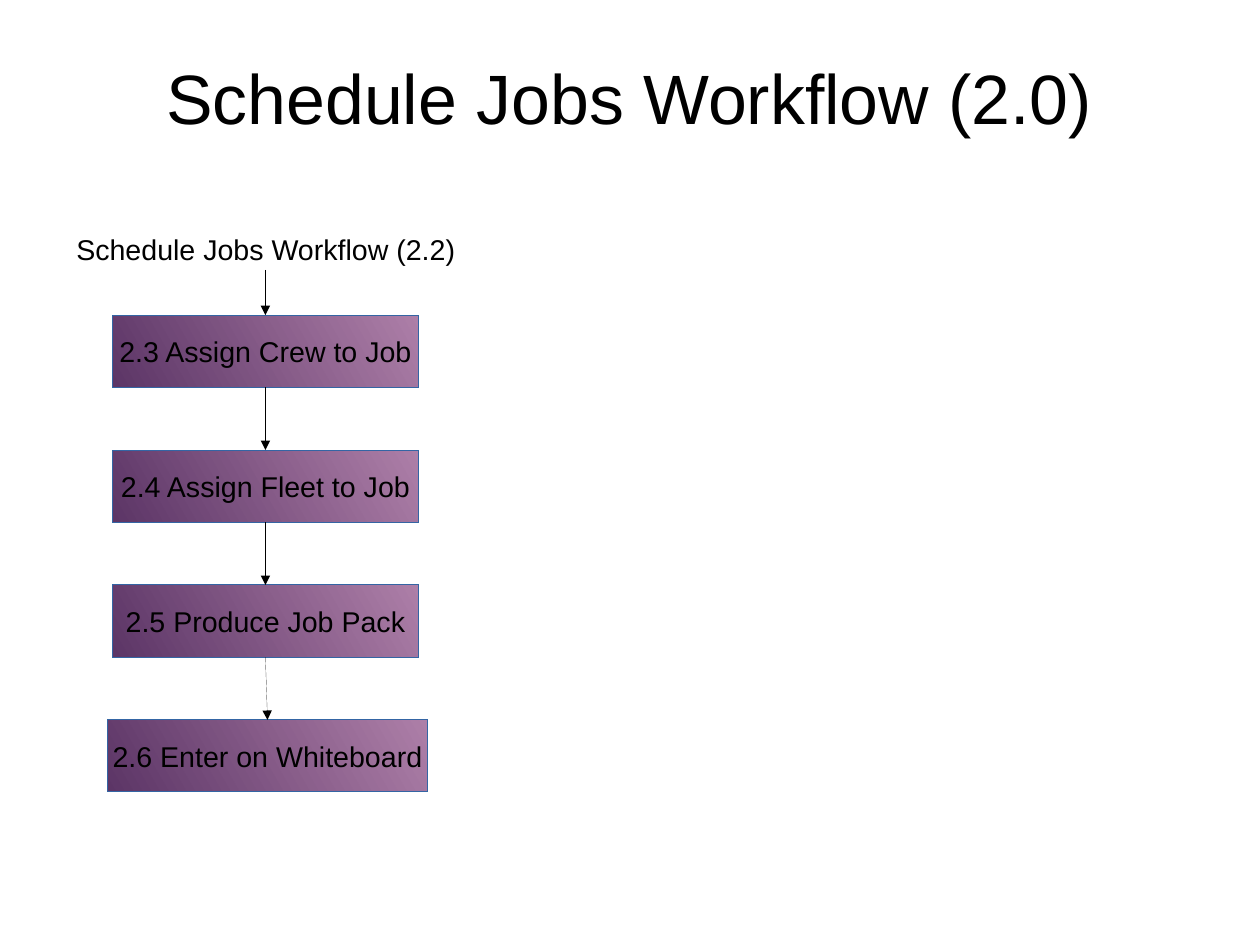
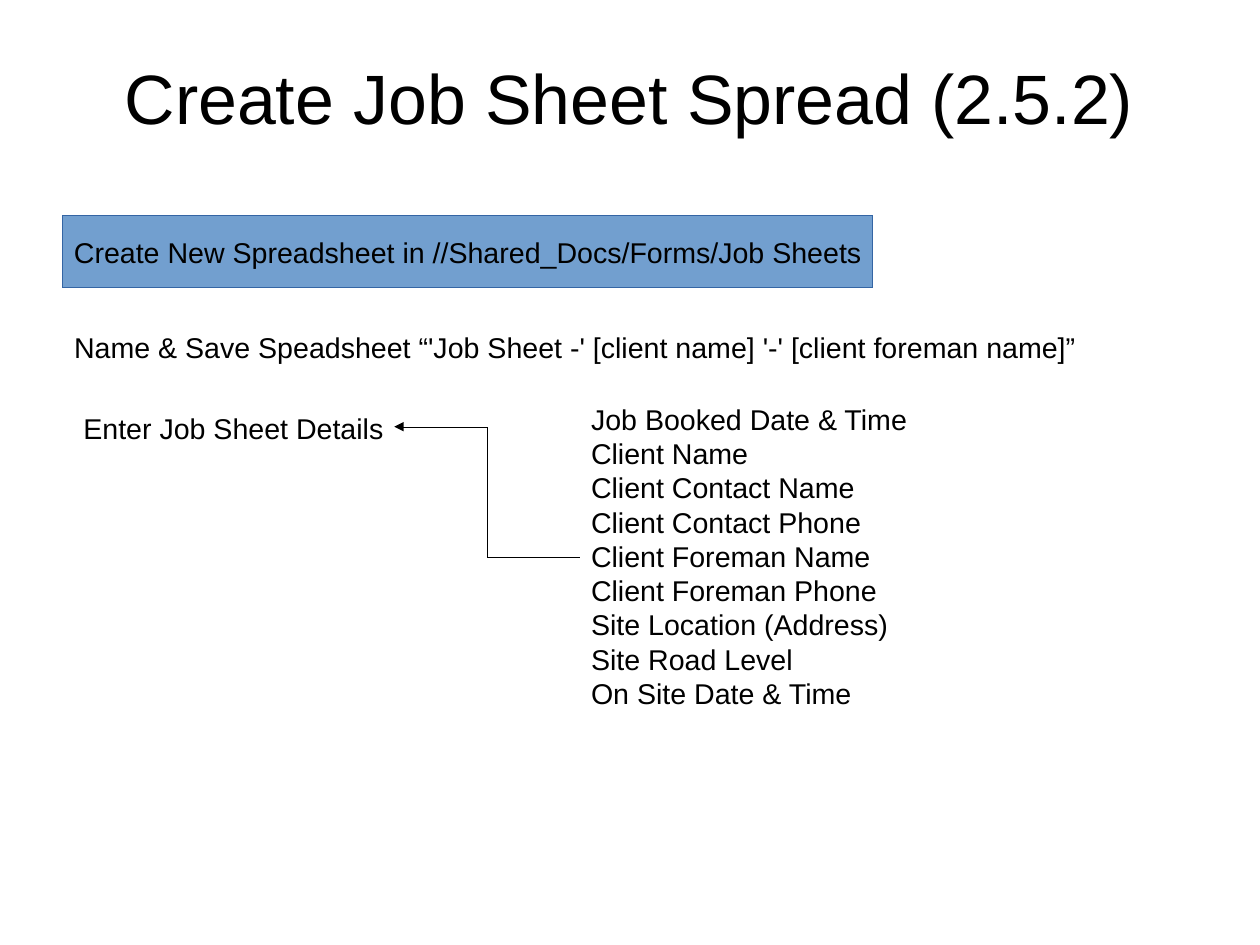
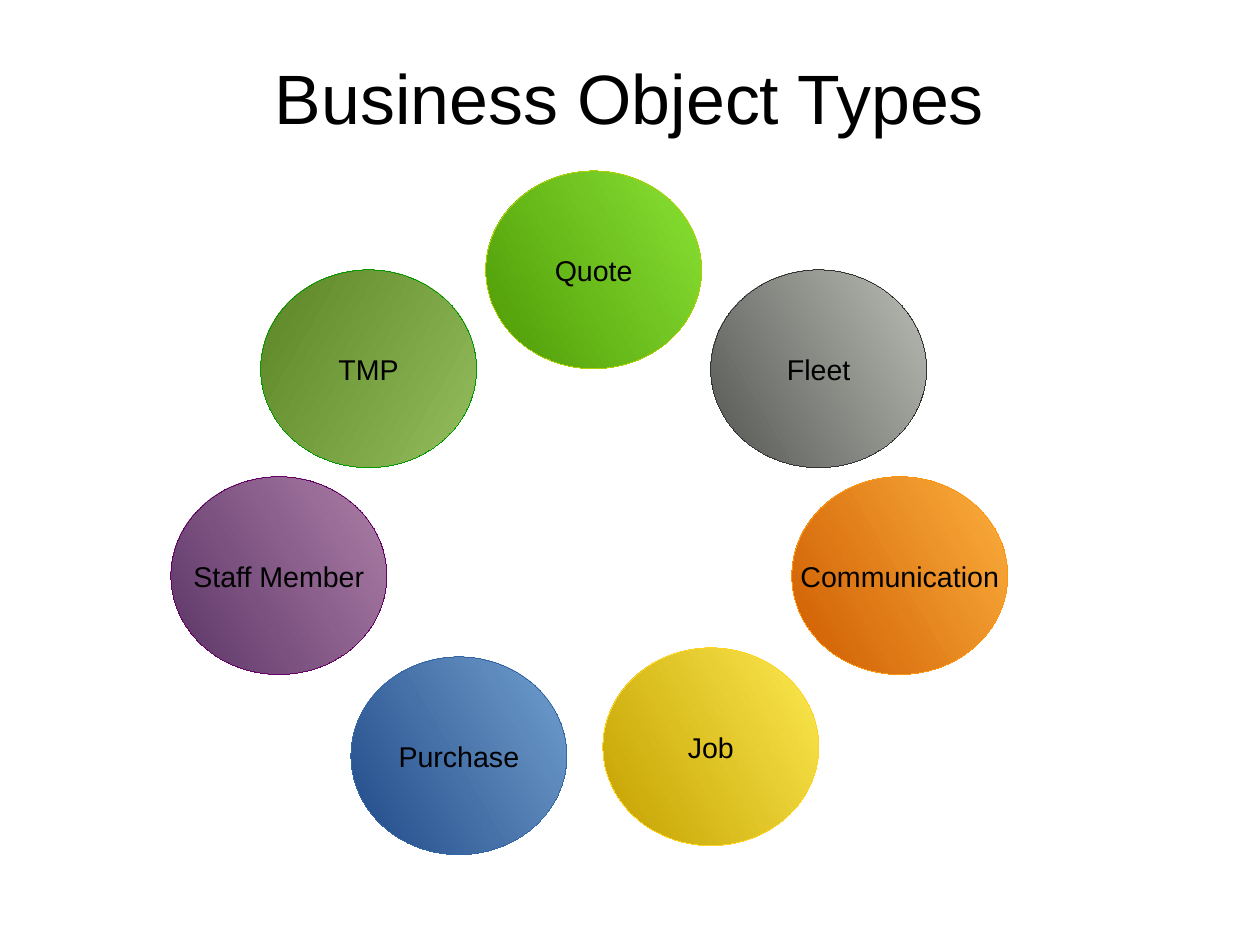
from lxml.etree import SubElement as Sub
from pptx import Presentation
from pptx.dml.color import RGBColor
from pptx.enum.shapes import MSO_CONNECTOR as Link, MSO_SHAPE as Kind
from pptx.enum.text import MSO_ANCHOR as Anchor, MSO_AUTO_SIZE as Auto, PP_ALIGN as Align
from pptx.oxml.ns import qn
from pptx.util import Pt

SIZE = (793.7, 595.28)
INK = "000000"
BLUE = "3465A4"
PLUM = ("AD7FA8", "5C3566")
TITLE = (39.6, 11.2, 714.3, 99.2)
PAD = ("margin_left", "margin_top", "margin_right", "margin_bottom")
MID = {"word_wrap": False, "vertical_anchor": Anchor.MIDDLE}
TOP = {"word_wrap": False, "vertical_anchor": Anchor.TOP, "auto_size": Auto.NONE}
LIST = {**TOP, "word_wrap": True}
HEAD = {"word_wrap": True, "vertical_anchor": Anchor.MIDDLE, "auto_size": Auto.NONE,
        **dict.fromkeys(PAD, 0)}

FLOW = {
    "title": "Schedule Jobs Workflow (2.0)",
    "start": ("Schedule Jobs Workflow (2.2)", (41, 142.6, 252.4, 27.4)),
    "steps": [
        ("2.3 Assign Crew to Job", 70.7, 193),
        ("2.4 Assign Fleet to Job", 70.7, 193),
        ("2.5 Produce Job Pack", 70.7, 193),
        ("2.6 Enter on Whiteboard", 67.7, 201.6),
    ],
}
STEP_TOP, STEP_GAP, STEP_HIGH = 198.5, 85, 45.4

SHEET = {
    "title": "Create Job Sheet Spread (2.5.2)",
    "make": ("Create New Spreadsheet in //Shared_Docs/Forms/Job Sheets",
             (39.6, 135.9, 510.2, 45.4)),
    "save": ("Name & Save Speadsheet “'Job Sheet -' [client name] '-' [client foreman name]”",
             (39.6, 204, 645, 27.4)),
    "enter": ("Enter Job Sheet Details", (45.4, 255.1, 203, 27.4)),
    "fields": [
        "Job Booked Date & Time",
        "Client Name",
        "Client Contact Name",
        "Client Contact Phone",
        "Client Foreman Name",
        "Client Foreman Phone",
        "Site Location (Address)",
        "Site Road Level",
        "On Site Date & Time",
    ],
    "box": (365.1, 249.4, 225, 203.6),
}

TYPES = {
    "title": "Business Object Types",
    "discs": [
        ("TMP", 164.2, 170, ("94BD5E", "5C8526"), "009900", 210),
        ("Quote", 306, 107.7, ("8AE234", "4E9A06"), "AECF00", 150),
        ("Fleet", 447.7, 170, ("BABDB6", "555753"), "333333", 150),
        ("Staff Member", 107.7, 300.3, PLUM, "660066", 150),
        ("Purchase", 221.1, 413.8, ("729FCF", "204A87"), BLUE, 150),
        ("Job", 379.8, 408.1, ("FCE94F", "C4A000"), "FFD320", 150),
        ("Communication", 498.8, 300.3, ("FCAF3E", "CE5C00"), "FF950E", 150),
    ],
}
DISC = (136, 124.6)


def rgb(code):
    return RGBColor.from_string(code)


def put(obj, vals):
    for key, val in vals.items():
        setattr(obj, key, val)


def place(shape, box):
    put(shape, dict(zip(("left", "top", "width", "height"), map(Pt, box))))


def hair(shape, code):
    shape.line.color.rgb = rgb(code)
    line = shape.element.spPr.find(qn("a:ln"))
    line.set("w", "0")
    return line


def write(shape, lines, frame, align=Align.LEFT, size=18):
    text = shape.text_frame
    put(text, frame)
    for num, line in enumerate(lines):
        para = text.add_paragraph() if num else text.paragraphs[0]
        if shape.is_placeholder:
            props = para._p.get_or_add_pPr()
            props.set("marL", "0")
            props.set("indent", "0")
            Sub(props, qn("a:buNone"))
        put(para, {"alignment": align, "space_before": Pt(0)})
        run = para.add_run()
        run.text = line
        put(run.font, {"name": "Arial", "size": Pt(size)})
        run.font.color.rgb = rgb(INK)


def start(deck, layout, title):
    slide = deck.slides.add_slide(deck.slide_layouts[layout])
    head = slide.shapes.title
    place(head, TITLE)
    write(head, [title], HEAD, Align.CENTER, 44)
    return slide


def label(slide, text, box):
    shape = slide.shapes.add_textbox(*map(Pt, box))
    write(shape, [text], TOP)
    return shape


def node(slide, kind, text, box, fill, edge=BLUE, turn=150):
    shape = slide.shapes.add_shape(kind, *map(Pt, box))
    shape.shadow.inherit = False
    if isinstance(fill, str):
        shape.fill.solid()
        shape.fill.fore_color.rgb = rgb(fill)
    else:
        shape.fill.gradient()
        shape.fill.gradient_angle = 360 - turn
        for pos, (stop, code) in enumerate(zip(shape.fill.gradient_stops, fill)):
            stop.position = pos
            stop.color.rgb = rgb(code)
    hair(shape, edge)
    write(shape, [text], MID, Align.CENTER)
    return shape


def arrow(slide, kind, tail, out, head, into):
    link = slide.shapes.add_connector(kind, 0, 0, 0, 0)
    link.begin_connect(tail, out)
    link.end_connect(head, into)
    Sub(hair(link, INK), qn("a:tailEnd"), type="triangle")
    Sub(link.element.spPr, qn("a:effectLst"))


def flow(deck):
    slide = start(deck, 5, FLOW["title"])
    last = label(slide, *FLOW["start"])
    for num, (text, left, wide) in enumerate(FLOW["steps"]):
        box = (left, STEP_TOP + num * STEP_GAP, wide, STEP_HIGH)
        step = node(slide, Kind.RECTANGLE, text, box, PLUM)
        arrow(slide, Link.STRAIGHT, last, 2, step, 0)
        last = step


def sheet(deck):
    slide = start(deck, 1, SHEET["title"])
    node(slide, Kind.RECTANGLE, *SHEET["make"], "729FCF")
    label(slide, *SHEET["save"])
    enter = label(slide, *SHEET["enter"])
    body = slide.placeholders[1]
    place(body, SHEET["box"])
    write(body, SHEET["fields"], LIST)
    arrow(slide, Link.ELBOW, body, 1, enter, 3)


def types(deck):
    slide = start(deck, 5, TYPES["title"])
    for text, left, top, fill, edge, turn in TYPES["discs"]:
        node(slide, Kind.OVAL, text, (left, top, *DISC), fill, edge, turn)


def main():
    deck = Presentation()
    put(deck, dict(zip(("slide_width", "slide_height"), map(Pt, SIZE))))
    for build in (flow, sheet, types):
        build(deck)
    deck.save("out.pptx")


if __name__ == "__main__":
    main()
